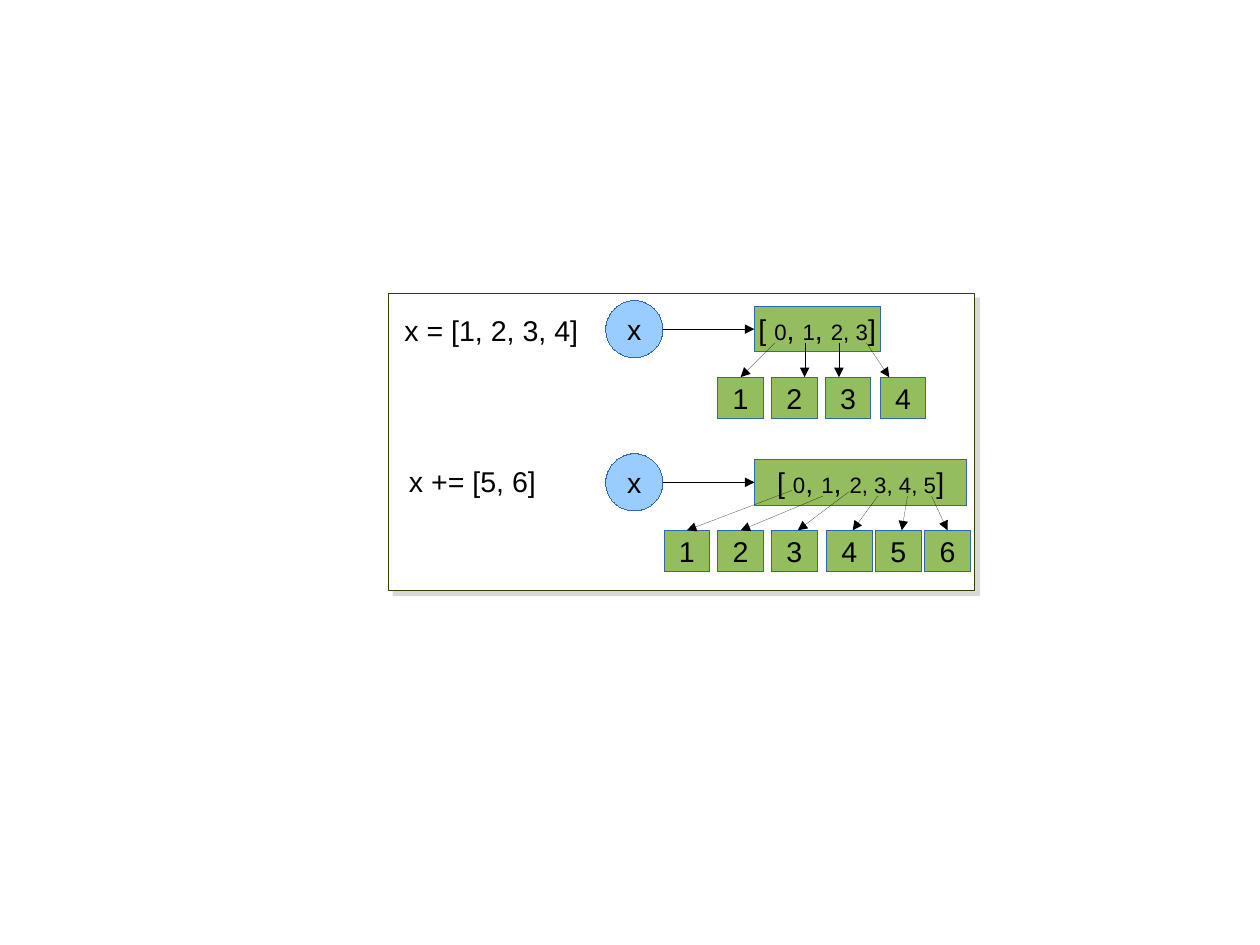
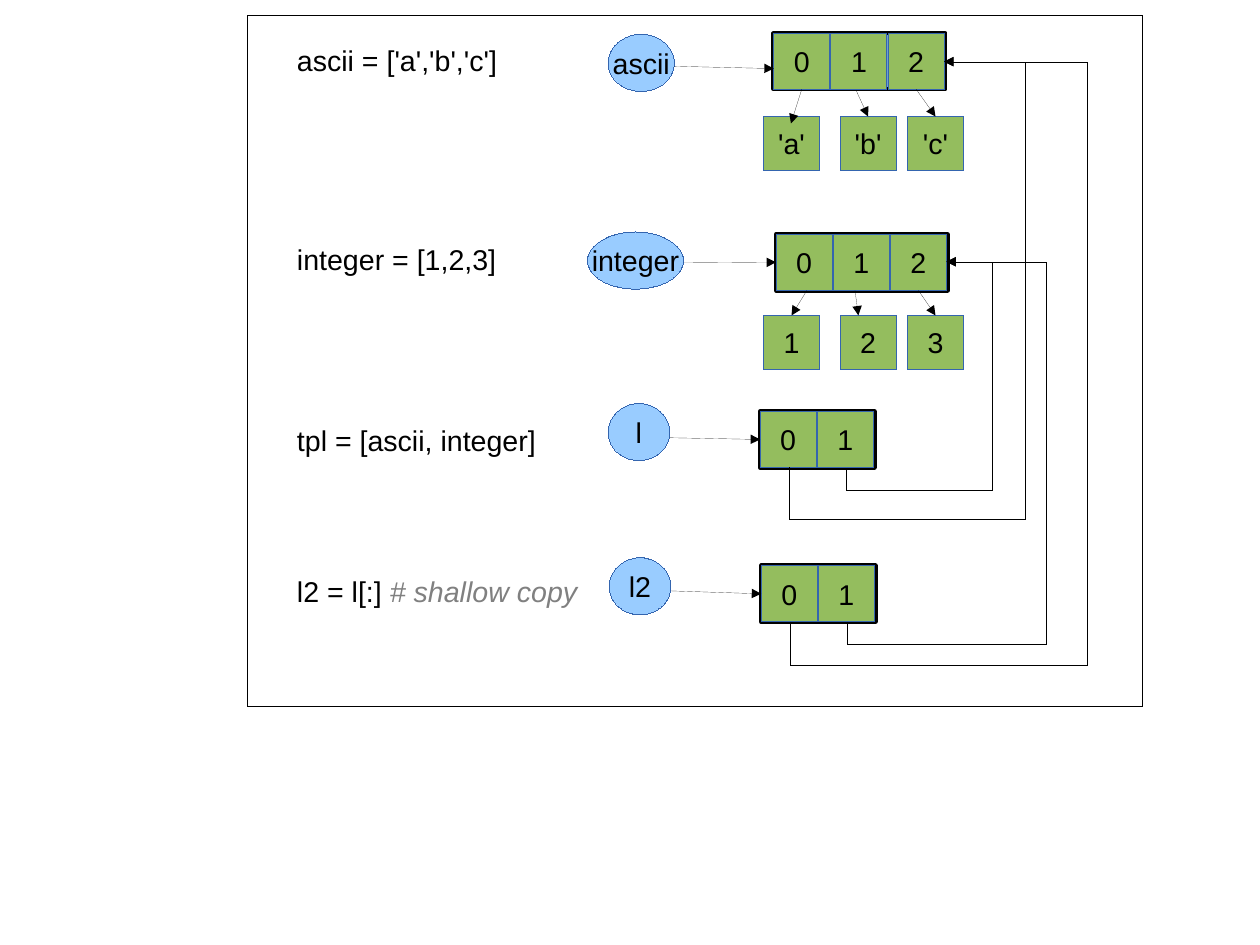
from lxml.etree import SubElement
from pptx import Presentation
from pptx.dml.color import RGBColor
from pptx.enum.shapes import MSO_CONNECTOR, MSO_SHAPE
from pptx.enum.text import MSO_ANCHOR, PP_ALIGN
from pptx.oxml.ns import qn
from pptx.util import Cm, Pt

SCALE = 9144  # EMU per px, 100 px to the inch
BLACK, WHITE, GREY = "000000", "FFFFFF", "808080"
GREEN, SKY, BLUE, EDGE = "94BD5E", "99CCFF", "729FCF", "3465AF"
FONT, SIZE, SMALL = "Arial", 18, 14
CELL, PITCH = 49, 50
SNAP = 2  # px within which an arrow end joins the middle of a side


def px(*lengths):
    return [round(length * SCALE) for length in lengths]


def colour(value):
    return RGBColor.from_string(value)


# Text

def write(shape, spans, align=PP_ALIGN.LEFT):
    """Write (text, overrides) spans as one paragraph."""
    para = shape.text_frame.paragraphs[0]
    para.alignment = align
    para.font.name, para.font.size = FONT, Pt(SIZE)
    para.font.color.rgb = colour(BLACK)
    for text, style in spans:
        span = para.add_run()
        span.text = text
        if "size" in style:
            span.font.size = Pt(style["size"])
        if "colour" in style:
            span.font.color.rgb = colour(style["colour"])
        if "italic" in style:
            span.font.italic = style["italic"]


def add_code(page, left, top, width, code, comment=""):
    box = page.shapes.add_textbox(*px(left, top, width, 38))
    box.text_frame.word_wrap = True
    spans = [(code, {})]
    if comment:
        spans.append((comment, {"colour": GREY, "italic": True}))
    write(box, spans)


def index_spans(rest):
    """Spans of a list label: large brackets, small indexes."""
    parts = ["[ ", "0", ", ", "1", ", ", rest, "]"]
    return [(part, {"size": SMALL if place % 2 else SIZE})
            for place, part in enumerate(parts)]


# Shapes

def set_line(shape, edge, weight=0):
    shape.line.color.rgb = colour(edge)
    # A zero width must be written out, or the theme's width applies
    shape.element.spPr.find(qn("a:ln")).set("w", str(int(Pt(weight))))


def add_shape(holder, kind, area, fill, edge, weight=0, spans=()):
    shape = holder.shapes.add_shape(kind, *px(*area))
    shape.shadow.inherit = False
    shape.fill.solid()
    shape.fill.fore_color.rgb = colour(fill)
    set_line(shape, edge, weight)
    if spans:
        shape.text_frame.word_wrap = False
        shape.text_frame.vertical_anchor = MSO_ANCHOR.MIDDLE
        write(shape, spans, PP_ALIGN.CENTER)
    return shape


def add_tile(holder, area, spans):
    return add_shape(holder, MSO_SHAPE.RECTANGLE, area, GREEN, EDGE, spans=spans)


def add_name(page, area, name):
    return add_shape(page, MSO_SHAPE.OVAL, area, SKY, EDGE, spans=[(name, {})])


def add_array(page, left, top, count):
    """Draw a framed row of numbered cells; return the frame and the cells."""
    group = page.shapes.add_group_shape()
    frame = add_shape(group, MSO_SHAPE.RECTANGLE,
                      (left, top, PITCH * count, CELL), BLUE, BLACK, 2.89)
    cells = [add_tile(group, (left + PITCH * index, top, CELL, CELL),
                      [(str(index), {})]) for index in range(count)]
    return frame, cells


def drop_shadow(shape):
    effects = shape.element.spPr.find(qn("a:effectLst"))
    shadow = SubElement(effects, qn("a:outerShdw"), blurRad="0", dist="52070",
                        dir="2700000", algn="tl", rotWithShape="0")
    tint = SubElement(shadow, qn("a:srgbClr"), val=GREY)
    SubElement(tint, qn("a:alpha"), val="30000")


# Arrows

def finish_arrow(connector):
    set_line(connector, BLACK)
    props = connector.element.spPr
    SubElement(props.find(qn("a:ln")), qn("a:tailEnd"), type="triangle")
    SubElement(props, qn("a:effectLst"))


def join(connect, shape, point):
    """Join an arrow end to the side whose middle lies at the point."""
    x, y = px(*point)
    center, middle = shape.left + shape.width / 2, shape.top + shape.height / 2
    sides = [(center, shape.top), (shape.left, middle),
             (center, shape.top + shape.height),
             (shape.left + shape.width, middle)]
    for site, (side_x, side_y) in enumerate(sides):
        if max(abs(side_x - x), abs(side_y - y)) <= SNAP * SCALE:
            connect(shape, site)


def add_arrow(page, start, end, target, source=None):
    arrow = page.shapes.add_connector(MSO_CONNECTOR.STRAIGHT, *px(*start, *end))
    if source is not None:
        join(arrow.begin_connect, source, start)
    join(arrow.end_connect, target, end)
    finish_arrow(arrow)


def add_elbow(page, start, end, bottom, right):
    """Go down to bottom, across to right, up, and back left to end."""
    (x1, y1), (x2, y2) = start, end
    rise, run = y1 - y2, x2 - x1
    left, top = (x1 + x2 - rise) / 2, (y1 + y2 - run) / 2
    elbow = page.shapes.add_connector(
        MSO_CONNECTOR.ELBOW, *px(left, top, left + rise, top + run))
    props = elbow.element.spPr
    frame, shape = props.find(qn("a:xfrm")), props.find(qn("a:prstGeom"))
    for key, value in (("rot", "5400000"), ("flipH", "1"), ("flipV", "1")):
        frame.set(key, value)
    shape.set("prst", "bentConnector4")
    guides = shape.find(qn("a:avLst"))
    ratios = ((y1 - bottom) / rise, (right - x1) / run)
    for number, ratio in enumerate(ratios, 1):
        SubElement(guides, qn("a:gd"), name=f"adj{number}",
                   fmla=f"val {round(ratio * 100000)}")
    finish_arrow(elbow)


# Slides

def build_list_growth(page):
    panel = add_shape(page, MSO_SHAPE.RECTANGLE, (340, 257, 513, 260),
                      WHITE, "314004", 0.71)
    drop_shadow(panel)
    # code, code left and top, row top, box width, last indexes,
    # then per value: tile left, arrow start, arrow end x
    rows = [
        ("x = [1, 2, 3, 4]", 344, 269, 263, 110, "2, 3",
         [(628, (678, 300), 648), (675, (704, 300), 704),
          (722, (734, 300), 734), (770, (758, 300), 778)]),
        ("x += [5, 6]", 348, 401, 397, 186, "2, 3, 4, 5",
         [(581, (693, 429), 600), (628, (720, 434), 649),
          (675, (743, 430), 698), (723, (768, 434), 746),
          (766, (794, 434), 789), (809, (815, 434), 828)]),
    ]
    for code, left, code_top, top, width, rest, values in rows:
        add_code(page, left, code_top, 180, code)
        add_name(page, (530, top, 50, 50), "x")
        box = add_tile(page, (660, top + 5, width, 40), index_spans(rest))
        add_arrow(page, (580, top + 25), (660, top + 25), box)
        tile_top = top + 67
        for value, (tile_left, start, end_x) in enumerate(values, 1):
            tile = add_tile(page, (tile_left, tile_top, 40, 36),
                            [(str(value), {})])
            add_arrow(page, start, (end_x, tile_top), tile)


def build_shallow_copy(page):
    add_shape(page, MSO_SHAPE.RECTANGLE, (217, 14, 783, 604), WHITE, BLACK)
    # code, comment, code top, name, name area, array left and top, cells,
    # arrow start y and end y
    rows = [
        ("ascii = ['a','b','c']", "", 33, "ascii", (532, 30, 58, 50),
         677, 29, 3, 58, 60),
        ("integer = [1,2,3]", "", 207, "integer", (514, 203, 84, 50),
         679, 205, 3, 230, 231),
        ("tpl = [ascii, integer]", "", 365, "l", (532, 353, 54, 50),
         665, 360, 2, 383, 383),
        ("l2 = l[:] ", "# shallow copy", 497, "l2", (533, 488, 54, 50),
         666, 495, 2, 517, 518),
    ]
    arrays = []
    for (code, comment, code_top, name, area, left, top, count,
         start_y, end_y) in rows:
        add_code(page, 250, code_top, 300, code, comment)
        add_name(page, area, name)
        frame, cells = add_array(page, left, top, count)
        add_arrow(page, (area[0] + area[2], start_y), (left, end_y), frame)
        arrays.append(cells)

    # Values: text, arrow start x, arrow end
    values = [
        (102, 79, [("'a'", 700, (692, 108)), ("'b'", 749, (759, 102)),
                   ("'c'", 801, (818, 102))]),
        (276, 254, [("1", 706, (694, 276)), ("2", 748, (751, 276)),
                    ("3", 803, (819, 276))]),
    ]
    for cells, (top, start_y, items) in zip(arrays, values):
        for cell, left, (text, start_x, end) in zip(cells, (668, 735, 794), items):
            tile = add_tile(page, (left, top, 49, 47), [(text, {})])
            add_arrow(page, (start_x, start_y), end, tile, cell)

    # References from the nested lists
    ascii_side, integer_side = (826, 54), (828, 229)
    for start, end, bottom, right in (
            ((690, 409), ascii_side, 454, 897),
            ((740, 410), integer_side, 429, 868),
            ((691, 544), ascii_side, 582, 951),
            ((741, 544), integer_side, 564, 915)):
        add_elbow(page, start, end, bottom, right)


def main():
    deck = Presentation()
    deck.slide_width, deck.slide_height = Cm(28), Cm(21)
    for build in (build_list_growth, build_shallow_copy):
        build(deck.slides.add_slide(deck.slide_layouts[6]))
    deck.save("out.pptx")


if __name__ == "__main__":
    main()
